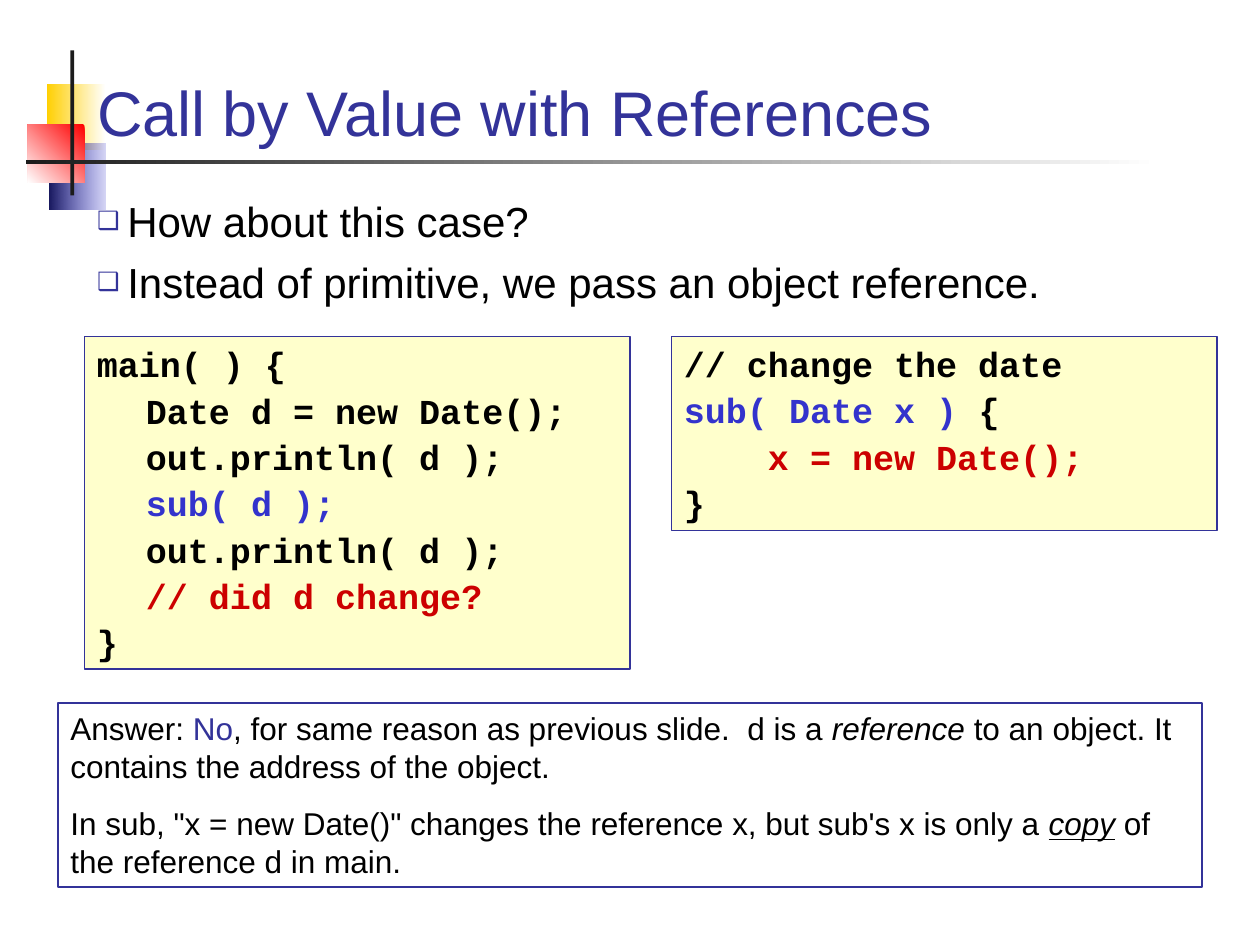
from dataclasses import dataclass
from typing import Optional

from lxml import etree
from pptx import Presentation
from pptx.dml.color import RGBColor
from pptx.enum.shapes import MSO_SHAPE
from pptx.enum.text import MSO_ANCHOR, MSO_AUTO_SIZE, PP_ALIGN
from pptx.oxml.ns import qn
from pptx.util import Inches, Pt

RECTANGLE = MSO_SHAPE.RECTANGLE
TOP, BOTTOM = MSO_ANCHOR.TOP, MSO_ANCHOR.BOTTOM
FIT_SHAPE, NO_FIT = MSO_AUTO_SIZE.SHAPE_TO_FIT_TEXT, MSO_AUTO_SIZE.NONE
LEFT = PP_ALIGN.LEFT

BLACK = RGBColor(0x00, 0x00, 0x00)
WHITE = RGBColor(0xFF, 0xFF, 0xFF)
CHARCOAL = RGBColor(0x1C, 0x1C, 0x1C)
GOLD = RGBColor(0xFF, 0xCF, 0x01)
RED = RGBColor(0xFF, 0x00, 0x00)
NAVY = RGBColor(0x17, 0x17, 0x5E)
INDIGO = RGBColor(0x33, 0x33, 0x99)
BLUE = RGBColor(0x33, 0x33, 0xCC)
CRIMSON = RGBColor(0xCC, 0x00, 0x00)
CREAM = RGBColor(0xFF, 0xFF, 0xCC)

TAB_STOP = Inches(0.39)
BULLET_INDENT = Inches(0.24)


@dataclass
class Area:
    left: float
    top: float
    width: float
    height: float

    def lengths(self) -> tuple:
        return tuple(Inches(v) for v in (self.left, self.top, self.width, self.height))


@dataclass
class Block:
    area: Area
    start: RGBColor
    end: RGBColor
    angle: int = 180  # counter-clockwise
    start_alpha: Optional[int] = None  # percent


@dataclass
class Span:
    text: str
    color: RGBColor = BLACK
    italic: bool = False
    underline: bool = False


@dataclass
class TextStyle:
    font: str
    size: int
    space_before: float
    bold: bool = False


@dataclass
class TextBox:
    area: Area
    fill: Optional[RGBColor]
    style: TextStyle
    lines: list


TITLE = TextStyle("Arial", 36, 0)
BODY = TextStyle("Arial", 24, 6)
CODE = TextStyle("Courier New", 20, 2.5, bold=True)
PROSE = TextStyle("Arial", 18, 11.2)

BLOCKS = [
    Block(Area(0.37, 0.67, 0.47, 0.52), WHITE, GOLD),
    Block(Area(0.39, 1.14, 0.45, 0.52), BLUE, NAVY, start_alpha=20),
    Block(Area(0.22, 0.99, 0.45, 0.46), RED, WHITE, angle=225),
    Block(Area(0.56, 0.4, 0.03, 1.15), CHARCOAL, CHARCOAL),
    Block(Area(0.21, 1.27, 8.99, 0.03), WHITE, CHARCOAL),
]

BULLETS = [
    "How about this case?",
    "Instead of primitive, we pass an object reference.",
]

BOXES = [
    TextBox(Area(0.67, 2.67, 4.33, 2.64), CREAM, CODE, [
        [Span("main( ) {")],
        [Span("\tDate d = new Date();")],
        [Span("\tout.println( d );")],
        [Span("\t"), Span("sub( d );", BLUE)],
        [Span("\tout.println( d );")],
        [Span("\t"), Span("// did d change?", CRIMSON)],
        [Span("}")],
    ]),
    TextBox(Area(5.33, 2.67, 4.33, 1.54), CREAM, CODE, [
        [Span("// change the date")],
        [Span("sub( Date x )", BLUE), Span(" {")],
        [Span("    x = new Date();", CRIMSON)],
        [Span("}")],
    ]),
    TextBox(Area(0.46, 5.58, 9.08, 1.46), None, PROSE, [
        [Span("Answer: "), Span("No", INDIGO),
         Span(", for same reason as previous slide.  d is a "),
         Span("reference", italic=True),
         Span(" to an object. It contains the address of the object.")],
        [Span("In sub, \"x = new Date()\" changes the reference x, but sub's x is only a "),
         Span("copy", italic=True, underline=True),
         Span(" of the reference d in main.")],
    ]),
]


def draw_block(page, block: Block) -> None:
    shape = page.shapes.add_shape(RECTANGLE, *block.area.lengths())
    shape.shadow.inherit = False
    shape.line.fill.background()
    if block.start == block.end:
        shape.fill.solid()
        shape.fill.fore_color.rgb = block.start
        return
    shape.fill.gradient()
    shape.fill.gradient_angle = block.angle
    for stop, color in zip(shape.fill.gradient_stops, (block.start, block.end)):
        stop.color.rgb = color
    if block.start_alpha is not None:
        color_node = next(shape.element.iter(qn("a:srgbClr")))
        etree.SubElement(color_node, qn("a:alpha"), val=str(block.start_alpha * 1000))


def add_tab_stop(para) -> None:
    tabs = etree.SubElement(para._p.get_or_add_pPr(), qn("a:tabLst"))
    etree.SubElement(tabs, qn("a:tab"), pos=str(TAB_STOP), algn="l")


def add_bullet(para) -> None:
    props = para._p.get_or_add_pPr()
    props.set("marL", str(BULLET_INDENT))
    props.set("indent", str(-BULLET_INDENT))
    color = etree.SubElement(props, qn("a:buClr"))
    etree.SubElement(color, qn("a:srgbClr"), val=str(INDIGO))
    etree.SubElement(props, qn("a:buSzPct"), val="60000")
    etree.SubElement(props, qn("a:buFont"), typeface="Arial")
    etree.SubElement(props, qn("a:buChar"), char="❑")


def format_para(para, style: TextStyle, first: bool) -> None:
    para.alignment = LEFT
    para.space_before = Pt(0 if first else style.space_before)
    para.font.name = style.font
    para.font.size = Pt(style.size)
    para.font.bold = style.bold


def draw_text_box(page, box: TextBox) -> None:
    shape = page.shapes.add_shape(RECTANGLE, *box.area.lengths())
    shape.shadow.inherit = False
    if box.fill is None:
        shape.fill.background()
    else:
        shape.fill.solid()
        shape.fill.fore_color.rgb = box.fill
    shape.line.color.rgb = INDIGO
    shape.line.width = Pt(0.75)
    frame = shape.text_frame
    frame.word_wrap = True
    frame.auto_size = FIT_SHAPE
    frame.vertical_anchor = TOP
    for index, line in enumerate(box.lines):
        para = frame.paragraphs[0] if index == 0 else frame.add_paragraph()
        if line[0].text.startswith("\t"):
            add_tab_stop(para)
        format_para(para, box.style, index == 0)
        for span in line:
            run = para.add_run()
            run.text = span.text
            run.font.color.rgb = span.color
            if span.italic:
                run.font.italic = True
            if span.underline:
                run.font.underline = True


def fill_placeholder(holder, area: Area, lines: list, style: TextStyle,
                     color: RGBColor, anchor, bulleted: bool) -> None:
    holder.left, holder.top, holder.width, holder.height = area.lengths()
    holder.element.getparent().append(holder.element)  # in front of the blocks
    frame = holder.text_frame
    frame.auto_size = NO_FIT
    frame.vertical_anchor = anchor
    frame.text = "\n".join(lines)
    for index, para in enumerate(frame.paragraphs):
        if bulleted:
            add_bullet(para)
        format_para(para, style, index == 0)
        para.font.color.rgb = color


def main() -> None:
    deck = Presentation()
    deck.slide_width, deck.slide_height = Inches(10), Inches(7.5)
    page = deck.slides.add_slide(deck.slide_layouts[1])
    # Corner decoration
    for block in BLOCKS:
        draw_block(page, block)
    # Title and bullets
    fill_placeholder(page.shapes.title, Area(0.67, 0.28, 8.66, 0.95),
                     ["Call by Value with References"], TITLE, INDIGO, BOTTOM, False)
    fill_placeholder(page.placeholders[1], Area(0.67, 1.5, 8.66, 1.17),
                     BULLETS, BODY, BLACK, TOP, True)
    # Code and answer boxes
    for box in BOXES:
        draw_text_box(page, box)
    deck.save("out.pptx")


if __name__ == "__main__":
    main()
